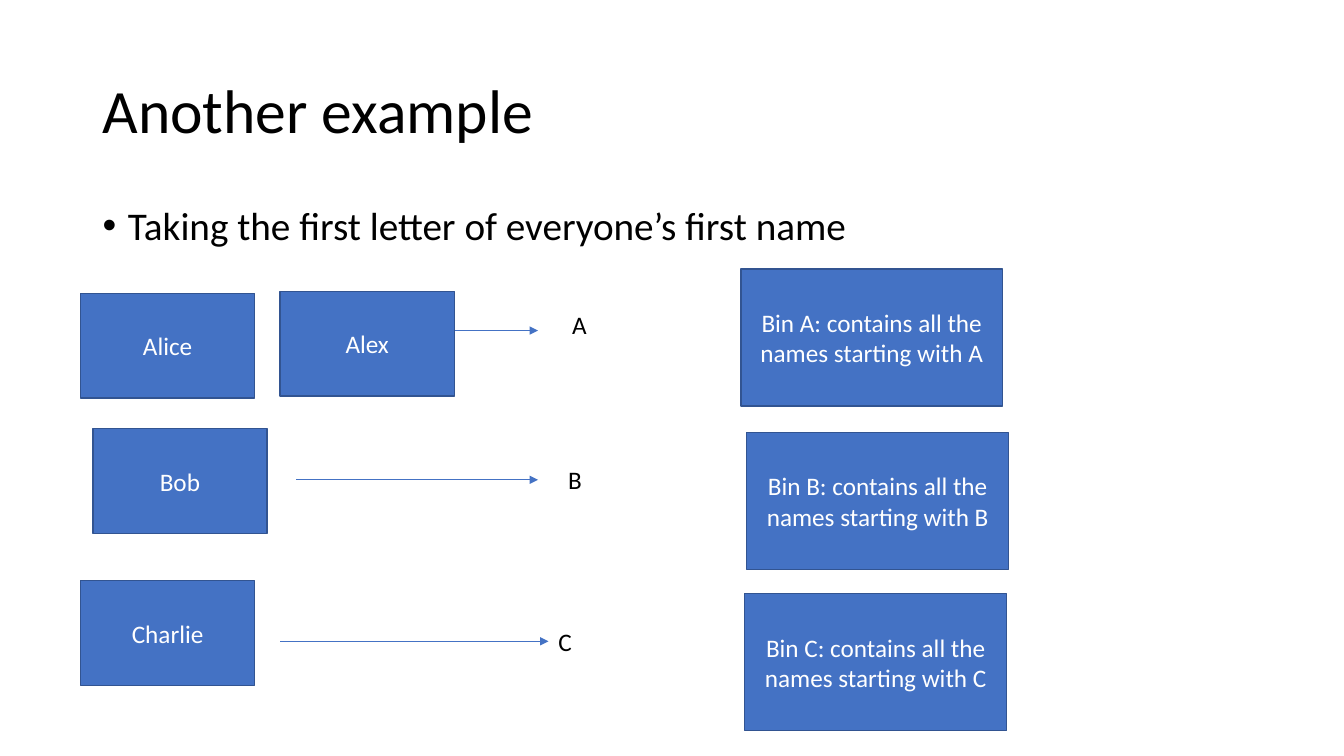
from lxml.etree import SubElement
from pptx import Presentation
from pptx.dml.color import RGBColor
from pptx.enum.shapes import MSO_CONNECTOR, MSO_SHAPE
from pptx.enum.text import MSO_ANCHOR, MSO_AUTO_SIZE, PP_ALIGN
from pptx.oxml.ns import qn
from pptx.util import Cm, Pt

TITLE = "Another example"
BULLET = "Taking the first letter of everyone’s first name"
NAMES = [
    ("Alice", 2.03, 7.39),
    ("Bob", 2.34, 10.8),
    ("Charlie", 2.03, 14.63),
    ("Alex", 7.06, 7.34),
]
LETTERS = [("A", 14.17, 7.67), ("B", 14.07, 11.58), ("C", 13.82, 15.65)]
BINS = [("A", 18.67, 6.78), ("B", 18.82, 10.9), ("C", 18.77, 14.96)]
ARROWS = [("A", 7.06, 13.56, 8.33), ("B", 7.47, 13.56, 12.09), ("C", 7.06, 13.82, 16.16)]
JOINED_LETTERS = {"C"}

NAME_SIZE = (4.39, 2.64)
BIN_SIZE = (6.6, 3.45)
LETTER_SIZE = (2.54, 1.02)

FONT = "Calibri"
BLACK = RGBColor(0x00, 0x00, 0x00)
WHITE = RGBColor(0xFF, 0xFF, 0xFF)
BLUE = RGBColor(0x44, 0x72, 0xC4)
DARK_BLUE = RGBColor(0x32, 0x54, 0x91)


def write(shape, text, size, color, alignment=PP_ALIGN.LEFT):
    shape.text_frame.text = text
    paragraph = shape.text_frame.paragraphs[0]
    paragraph.alignment = alignment
    font = paragraph.runs[0].font
    font.name, font.size, font.color.rgb = FONT, Pt(size), color
    return paragraph


def place(shape, left, top, width, height):
    shape.left, shape.top = Cm(left), Cm(top)
    shape.width, shape.height = Cm(width), Cm(height)


def add_box(slide, text, left, top, size):
    box = slide.shapes.add_shape(MSO_SHAPE.RECTANGLE, Cm(left), Cm(top), *map(Cm, size))
    box.shadow.inherit = False
    box.fill.solid()
    box.fill.fore_color.rgb = BLUE
    box.line.color.rgb = DARK_BLUE
    box.line.width = Pt(1)
    box.text_frame.word_wrap = True
    box.text_frame.vertical_anchor = MSO_ANCHOR.MIDDLE
    write(box, text, 18, WHITE, PP_ALIGN.CENTER)


def add_letter(slide, text, left, top):
    label = slide.shapes.add_textbox(Cm(left), Cm(top), *map(Cm, LETTER_SIZE))
    label.text_frame.word_wrap = True
    label.text_frame.auto_size = MSO_AUTO_SIZE.SHAPE_TO_FIT_TEXT
    write(label, text, 18, BLACK)
    return label


def add_arrow(slide, start, end, y):
    arrow = slide.shapes.add_connector(
        MSO_CONNECTOR.STRAIGHT, Cm(start), Cm(y), Cm(end), Cm(y))
    arrow.line.color.rgb = BLUE
    arrow.line.width = Pt(0.5)
    SubElement(arrow.line._get_or_add_ln(), qn("a:tailEnd"), type="triangle")
    SubElement(arrow._element.spPr, qn("a:effectLst"))
    return arrow


def main():
    presentation = Presentation()
    presentation.slide_width, presentation.slide_height = Cm(33.87), Cm(19.05)
    slide = presentation.slides.add_slide(presentation.slide_layouts[1])

    title, body = slide.placeholders
    place(title, 2.33, 1.01, 29.21, 3.68)
    title.text_frame.vertical_anchor = MSO_ANCHOR.MIDDLE
    write(title, TITLE, 44, BLACK).line_spacing = 0.9

    place(body, 2.33, 5.07, 29.21, 12.09)
    paragraph = write(body, BULLET, 28, BLACK)
    paragraph.line_spacing = 0.9
    paragraph.space_before = Pt(10)
    properties = paragraph._p.get_or_add_pPr()
    properties.set("marL", str(Cm(0.64)))
    properties.set("indent", str(Cm(-0.64)))

    labels = {text: add_letter(slide, text, left, top) for text, left, top in LETTERS}
    for letter, start, end, y in ARROWS:
        arrow = add_arrow(slide, start, end, y)
        if letter in JOINED_LETTERS:
            arrow.end_connect(labels[letter], 1)
    for name, left, top in NAMES:
        add_box(slide, name, left, top, NAME_SIZE)
    for letter, left, top in BINS:
        text = f"Bin {letter}: contains all the names starting with {letter}"
        add_box(slide, text, left, top, BIN_SIZE)

    presentation.save("out.pptx")


if __name__ == "__main__":
    main()
